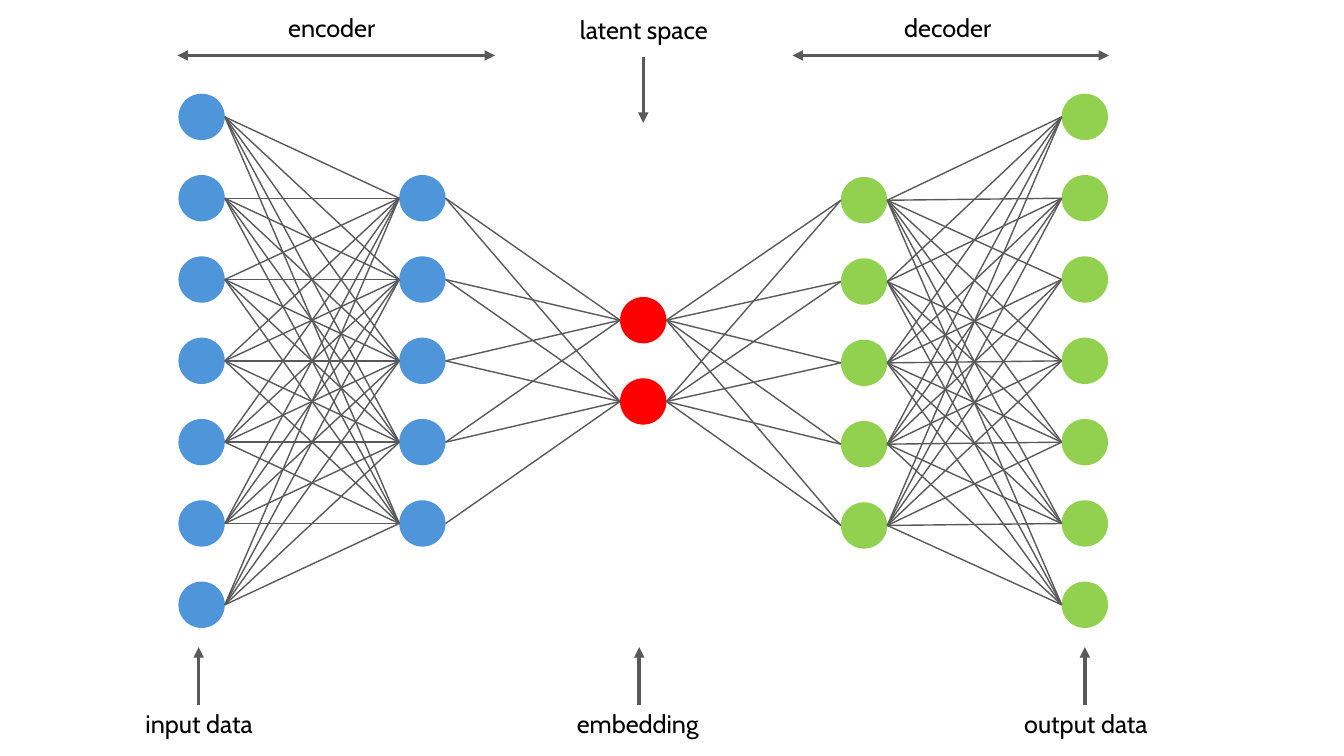
from itertools import pairwise

from lxml import etree
from pptx import Presentation
from pptx.dml.color import RGBColor
from pptx.enum import shapes, text
from pptx.oxml import ns
from pptx.util import Inches, Pt

BLUE = RGBColor(0x4E, 0x95, 0xD9)
RED = RGBColor(0xFF, 0x00, 0x00)
GREEN = RGBColor(0x92, 0xD0, 0x50)
GREY = RGBColor(0x59, 0x59, 0x59)
BLACK = RGBColor(0x00, 0x00, 0x00)

# Layers from left to right: node count, colour, vertical centre
LAYERS = [
    (7, BLUE, 3.58),
    (5, BLUE, 3.58),
    (2, RED, 3.58),
    (5, GREEN, 3.6),
    (7, GREEN, 3.58),
]
FIRST_LAYER_X, LAYER_GAP = 2.0, 2.19
NODE_SIZE = 0.46
NODE_GAP = 4.84 / 6
# Links left out: layer, node in it, node in the next layer
MISSING_LINKS = {(1, 4, 0), (3, 1, 2)}

# Label: text, left, top, width, alignment
LABELS = [
    ("encoder", 2.76, 0.07, 1.14, text.PP_ALIGN.LEFT),
    ("decoder", 8.87, 0.07, 1.14, text.PP_ALIGN.LEFT),
    ("latent space", 5.59, 0.09, 1.59, text.PP_ALIGN.CENTER),
    ("input data", 1.31, 6.98, 1.33, text.PP_ALIGN.CENTER),
    ("embedding", 5.48, 6.98, 1.69, text.PP_ALIGN.CENTER),
    ("output data", 9.97, 6.98, 1.6, text.PP_ALIGN.CENTER),
]
LABEL_HEIGHT = 0.4
LABEL_FONT = {"name": "Cabin", "size": Pt(18)}

# Arrow: start, end, ends that carry a head
ARROWS = [
    ((1.76, 0.55), (4.91, 0.55), ("headEnd", "tailEnd")),
    ((7.86, 0.55), (11.0, 0.55), ("headEnd", "tailEnd")),
    ((6.38, 0.57), (6.38, 1.22), ("tailEnd",)),
    ((1.97, 6.99), (1.97, 6.42), ("tailEnd",)),
    ((6.34, 6.99), (6.34, 6.42), ("tailEnd",)),
    ((10.76, 6.99), (10.76, 6.42), ("tailEnd",)),
]


def layer_centres(index):
    count, _, middle = LAYERS[index]
    x = FIRST_LAYER_X + index * LAYER_GAP
    top = middle - (count - 1) * NODE_GAP / 2
    return [(x, top + row * NODE_GAP) for row in range(count)]


def add_node(parent, centre, colour):
    left, top = (Inches(value - NODE_SIZE / 2) for value in centre)
    node = parent.shapes.add_shape(
        shapes.MSO_SHAPE.OVAL, left, top, Inches(NODE_SIZE), Inches(NODE_SIZE))
    node.shadow.inherit = False
    node.fill.solid()
    node.fill.fore_color.rgb = colour
    node.line.fill.background()


def add_line(parent, start, end, width, heads=()):
    points = [Inches(value) for value in (*start, *end)]
    line = parent.shapes.add_connector(shapes.MSO_CONNECTOR.STRAIGHT, *points)
    line.line.color.rgb = GREY
    line.line.width = Pt(width)
    properties = line.line._get_or_add_ln()
    for head in heads:
        etree.SubElement(properties, ns.qn(f"a:{head}"), type="triangle")
    etree.SubElement(line._element.spPr, ns.qn("a:effectLst"))


def add_label(slide, wording, left, top, width, alignment):
    box = slide.shapes.add_textbox(
        Inches(left), Inches(top), Inches(width), Inches(LABEL_HEIGHT))
    frame = box.text_frame
    frame.word_wrap = True
    frame.auto_size = text.MSO_AUTO_SIZE.SHAPE_TO_FIT_TEXT
    paragraph = frame.paragraphs[0]
    paragraph.alignment = alignment
    run = paragraph.add_run()
    run.text = wording
    for name, value in LABEL_FONT.items():
        setattr(run.font, name, value)
    run.font.color.rgb = BLACK


def add_network(slide):
    network = slide.shapes.add_group_shape()
    layers = [layer_centres(index) for index in range(len(LAYERS))]
    for centres, (_, colour, _) in zip(layers, LAYERS):
        for centre in centres:
            add_node(network, centre, colour)
    radius = NODE_SIZE / 2
    for index, (sources, targets) in enumerate(pairwise(layers)):
        for row, (x1, y1) in enumerate(sources):
            for target_row, (x2, y2) in enumerate(targets):
                if (index, row, target_row) not in MISSING_LINKS:
                    add_line(network, (x1 + radius, y1), (x2 - radius, y2), 1)


def main():
    presentation = Presentation()
    presentation.slide_width = Inches(13.33)
    presentation.slide_height = Inches(7.5)
    slide = presentation.slides.add_slide(presentation.slide_layouts[6])
    add_network(slide)
    for start, end, heads in ARROWS:
        add_line(slide, start, end, 2.5, heads)
    for label in LABELS:
        add_label(slide, *label)
    presentation.save("out.pptx")


if __name__ == "__main__":
    main()
